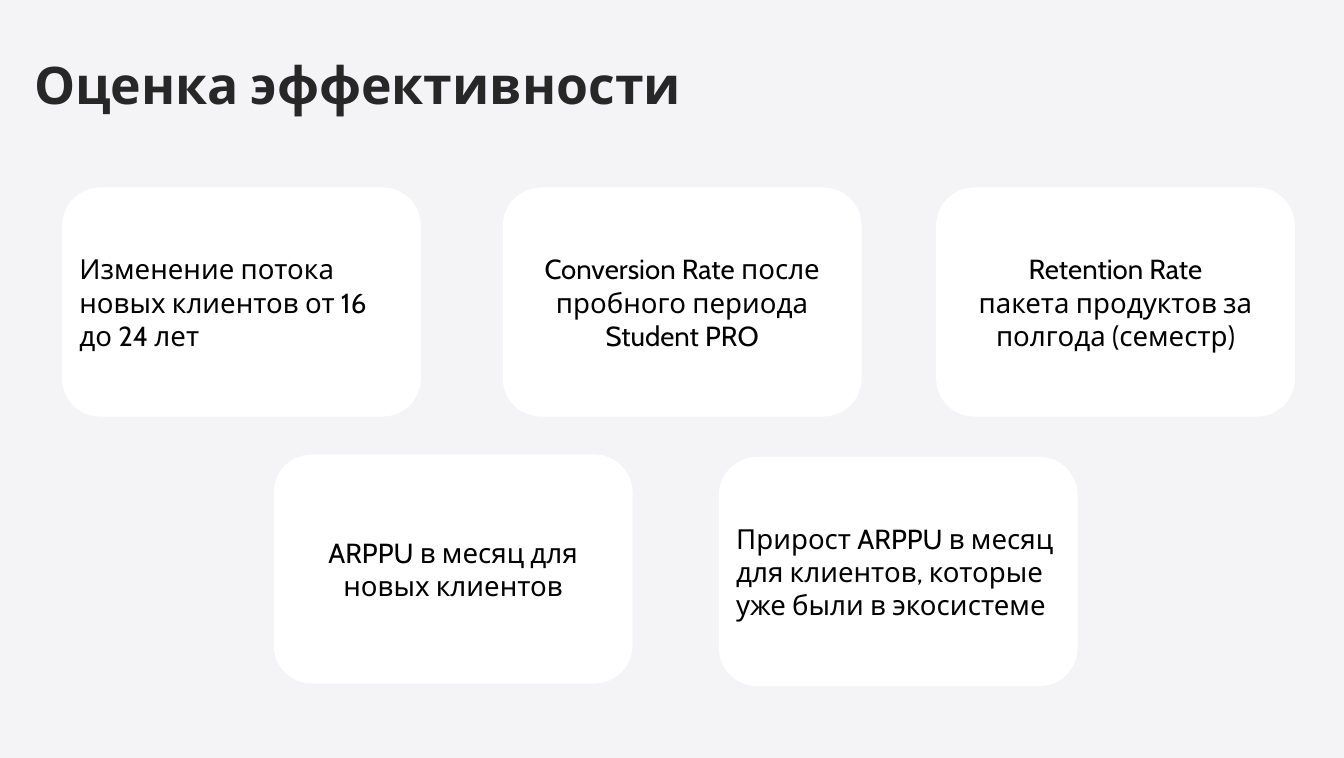
from pptx import Presentation
from pptx.dml.color import RGBColor
from pptx.enum.shapes import MSO_SHAPE
from pptx.enum.text import MSO_ANCHOR, PP_ALIGN
from pptx.util import Inches, Pt

ROUNDED = MSO_SHAPE.ROUNDED_RECTANGLE
MIDDLE = MSO_ANCHOR.MIDDLE
LEFT, CENTER = PP_ALIGN.LEFT, PP_ALIGN.CENTER

SLIDE_W, SLIDE_H = 21.65, 12.21
CARD_W, CARD_H = 5.78, 3.69
FONT = "Cabin"
COLORS = {"background": "F4F4F7", "title": "272727", "card": "FFFFFF", "text": "000000"}

TOP_METRICS = [
    (0, 0, LEFT, "Изменение потока новых клиентов от 16 до 24 лет"),
    (7.1, 0, CENTER, "Conversion Rate после пробного периода\nStudent PRO"),
    (14.08, 0, CENTER, "Retention Rate\nпакета продуктов за полгода (семестр)"),
]
BOTTOM_METRICS = [
    (0, 0, CENTER, "ARPPU в месяц для новых клиентов"),
    (7.17, 0.04, LEFT, "Прирост ARPPU в месяц для клиентов, которые уже были в экосистеме"),
]


def color(name):
    return RGBColor.from_string(COLORS[name])


def write(frame, text, size, color_name, align=LEFT, bold=False):
    frame.word_wrap = True
    frame.text = text
    for paragraph in frame.paragraphs:
        paragraph.alignment = align
        for run in paragraph.runs:
            run.font.name = FONT
            run.font.size = Pt(size)
            run.font.bold = bold
            run.font.color.rgb = color(color_name)


def add_title(slide, left, top, width, height):
    title = slide.shapes.add_textbox(Inches(left), Inches(top), Inches(width), Inches(height))
    frame = title.text_frame
    frame.margin_left = frame.margin_top = frame.margin_right = frame.margin_bottom = 0
    write(frame, "Оценка эффективности", 60, "title", bold=True)


def add_metric_row(slide, left, top, metrics):
    for shift, drop, align, text in metrics:
        card = slide.shapes.add_shape(
            ROUNDED, Inches(left + shift), Inches(top + drop), Inches(CARD_W), Inches(CARD_H)
        )
        card.shadow.inherit = False
        card.fill.solid()
        card.fill.fore_color.rgb = color("card")
        card.line.fill.background()
        card.text_frame.vertical_anchor = MIDDLE
        write(card.text_frame, text, 32, "text", align)


def main():
    deck = Presentation()
    deck.slide_width, deck.slide_height = Inches(SLIDE_W), Inches(SLIDE_H)
    slide = deck.slides.add_slide(deck.slide_layouts[6])
    slide.background.fill.solid()
    slide.background.fill.fore_color.rgb = color("background")
    add_title(slide, 0.55, 0.85, 10.57, 1.03)
    add_metric_row(slide, 1, 3.02, TOP_METRICS)
    add_metric_row(slide, 4.41, 7.32, BOTTOM_METRICS)
    deck.save("out.pptx")


if __name__ == "__main__":
    main()
